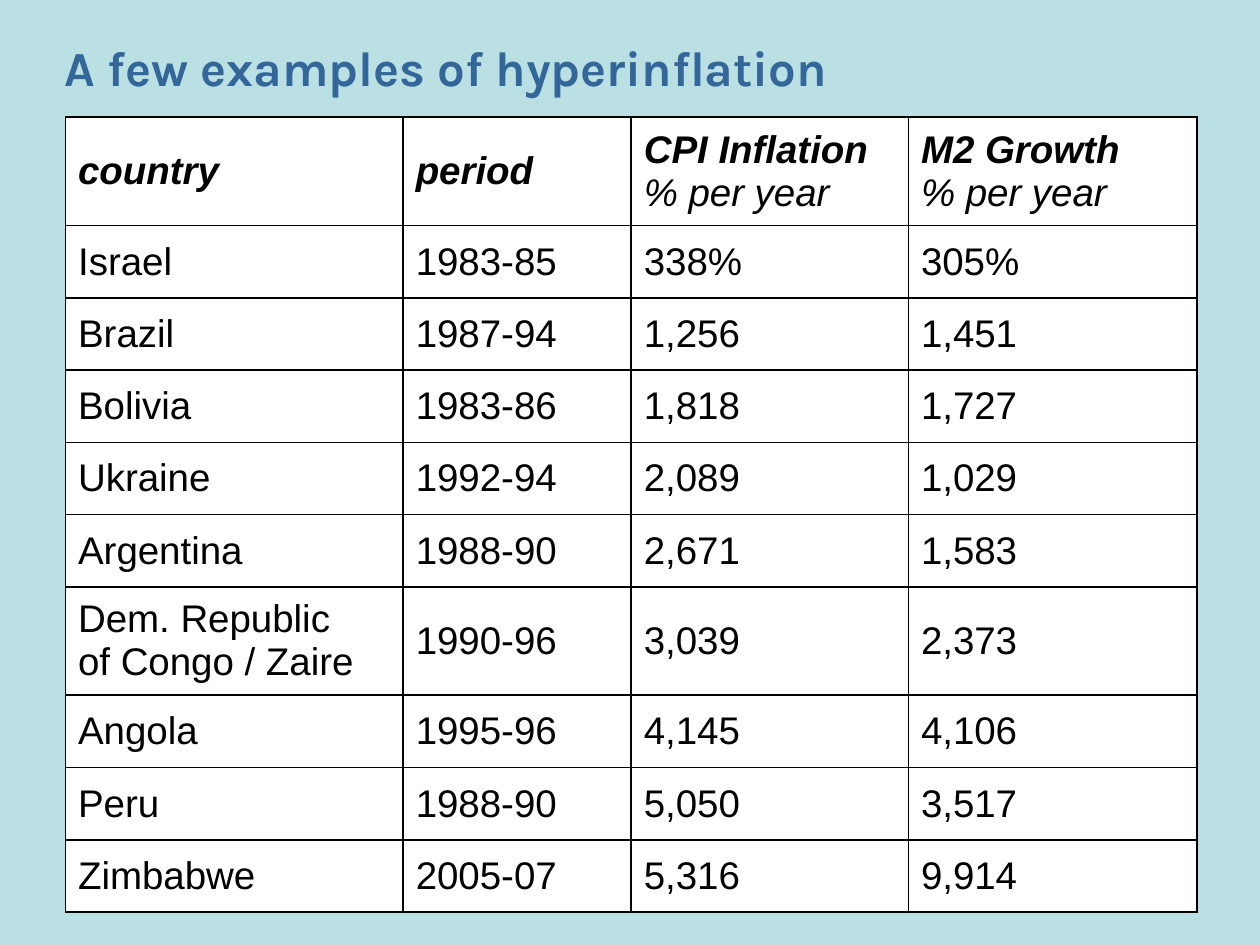
from pptx import Presentation
from pptx.dml.color import RGBColor
from pptx.enum.text import MSO_ANCHOR
from pptx.oxml.ns import qn
from pptx.util import Inches, Pt
from lxml.etree import SubElement

BACKGROUND = RGBColor(0xBB, 0xE0, 0xE3)
TITLE_BLUE = RGBColor(0x33, 0x66, 0x99)
WHITE = RGBColor(0xFF, 0xFF, 0xFF)
BLACK = RGBColor(0, 0, 0)

TITLE = "A few examples of hyperinflation"
# "\v" is a line break within a paragraph
HEADER = ("country", "period", "CPI Inflation \v% per year", "M2 Growth \v% per year")
EPISODES = [
    ("Israel", "1983-85", "338%", "305%"),
    ("Brazil", "1987-94", "1,256", "1,451"),
    ("Bolivia", "1983-86", "1,818", "1,727"),
    ("Ukraine", "1992-94", "2,089", "1,029"),
    ("Argentina", "1988-90", "2,671", "1,583"),
    ("Dem. Republic \vof Congo / Zaire", "1990-96", "3,039", "2,373"),
    ("Angola", "1995-96", "4,145", "4,106"),
    ("Peru", "1988-90", "5,050", "3,517"),
    ("Zimbabwe", "2005-07", "5,316", "9,914"),
]
ROWS = [HEADER] + EPISODES

COLUMN_WIDTHS = (2.68, 1.81, 2.2, 2.29)
TABLE_LEFT, TABLE_TOP, TABLE_HEIGHT = 0.52, 0.93, 6.31
TWO_LINE_HEIGHT = 0.86


def add_borders(cell):
    properties = cell._tc.get_or_add_tcPr()
    for position, side in enumerate(("lnL", "lnR", "lnT", "lnB")):
        line = SubElement(properties, qn(f"a:{side}"), w=str(Pt(1)))
        fill = SubElement(line, qn("a:solidFill"))
        SubElement(fill, qn("a:srgbClr"), val=str(BLACK))
        properties.insert(position, line)  # borders precede the fill


def style_run(run, font_name, size, color, bold=False, italic=False):
    font = run.font
    font.name, font.size = font_name, Pt(size)
    font.bold, font.italic = bold, italic
    font.color.rgb = color


def add_title(slide):
    box = slide.shapes.add_textbox(Inches(0.51), Inches(0.16), Inches(9.02), Inches(0.72))
    frame = box.text_frame
    frame.word_wrap = True
    frame.vertical_anchor = MSO_ANCHOR.MIDDLE
    frame.margin_left = frame.margin_right = frame.margin_top = frame.margin_bottom = 0
    frame.text = TITLE
    paragraph = frame.paragraphs[0]
    paragraph.line_spacing = 1.05
    style_run(paragraph.runs[0], "Karla", 28, TITLE_BLUE, bold=True)


def fill_cell(cell, text, is_header):
    cell.fill.solid()
    cell.fill.fore_color.rgb = WHITE
    cell.vertical_anchor = MSO_ANCHOR.MIDDLE
    cell.margin_left = cell.margin_right = Inches(0.1)
    cell.margin_top = cell.margin_bottom = Inches(0.05)
    add_borders(cell)
    paragraph = cell.text_frame.paragraphs[0]
    paragraph.text = text
    for index, run in enumerate(paragraph.runs):
        style_run(run, "Arial", 22, BLACK, bold=is_header and index == 0, italic=is_header)


def add_hyperinflation_table(slide):
    table = slide.shapes.add_table(
        len(ROWS), len(COLUMN_WIDTHS), Inches(TABLE_LEFT), Inches(TABLE_TOP),
        Inches(sum(COLUMN_WIDTHS)), Inches(TABLE_HEIGHT)).table
    table.first_row = table.horz_banding = False
    for column, width in zip(table.columns, COLUMN_WIDTHS):
        column.width = Inches(width)

    two_line = [any("\v" in text for text in row) for row in ROWS]
    tall_count = sum(two_line)
    one_line_height = (TABLE_HEIGHT - tall_count * TWO_LINE_HEIGHT) / (len(ROWS) - tall_count)
    for r, (texts, is_tall) in enumerate(zip(ROWS, two_line)):
        table.rows[r].height = Inches(TWO_LINE_HEIGHT if is_tall else one_line_height)
        for c, text in enumerate(texts):
            fill_cell(table.cell(r, c), text, is_header=r == 0)


def main():
    deck = Presentation()
    deck.slide_width, deck.slide_height = Inches(10), Inches(7.5)
    slide = deck.slides.add_slide(deck.slide_layouts[6])
    slide.background.fill.solid()
    slide.background.fill.fore_color.rgb = BACKGROUND
    add_title(slide)
    add_hyperinflation_table(slide)
    deck.save("out.pptx")


if __name__ == "__main__":
    main()
